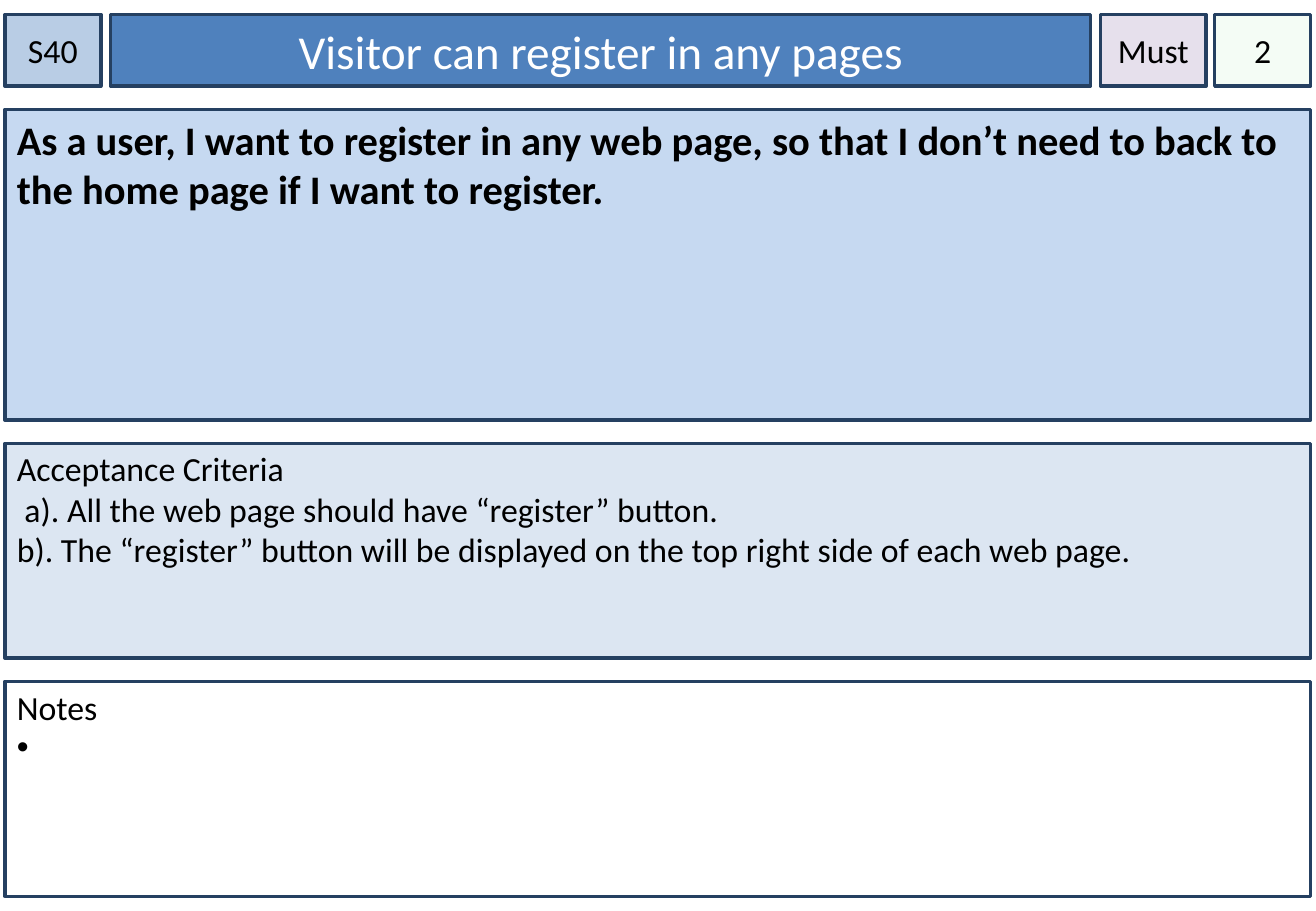
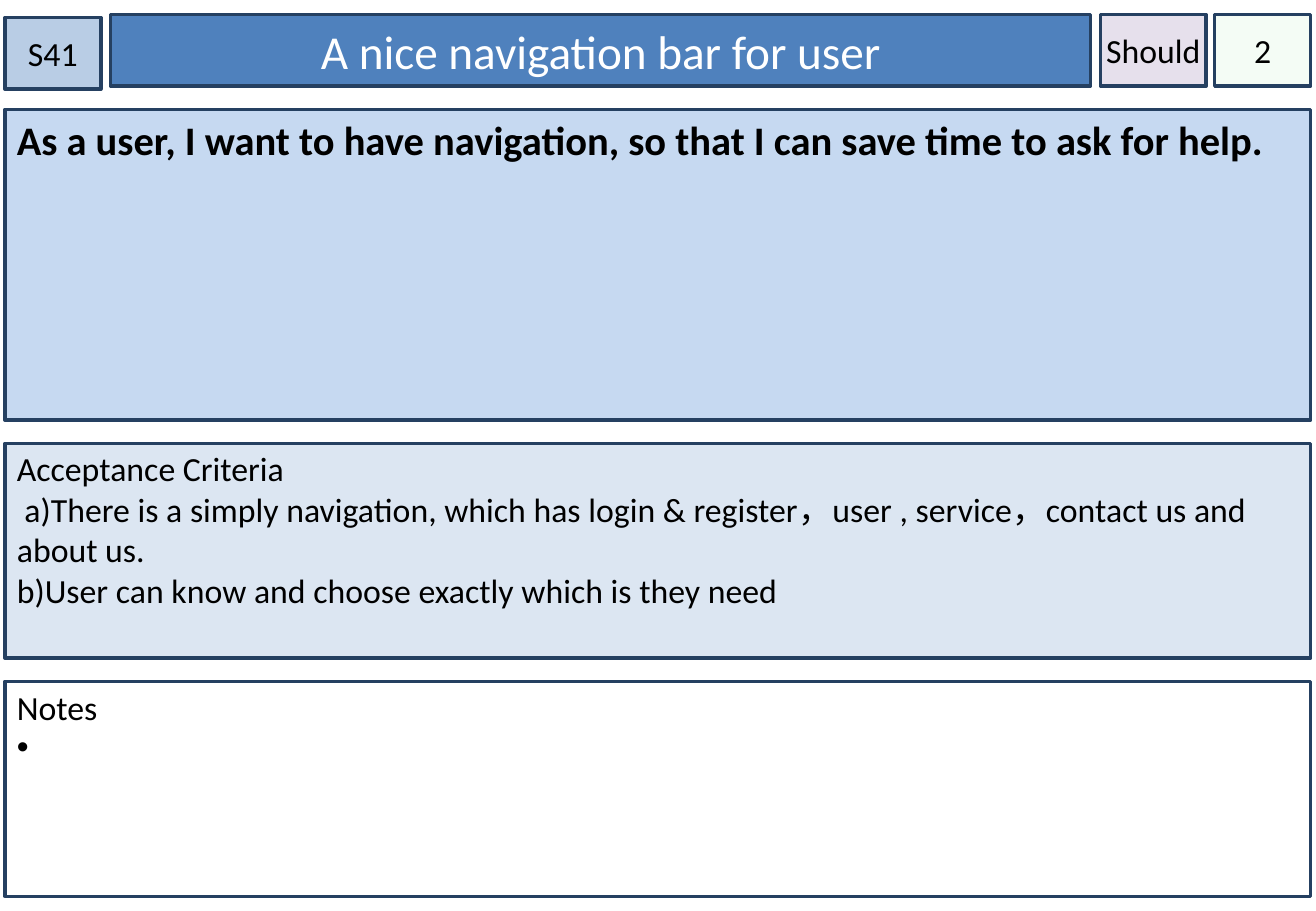
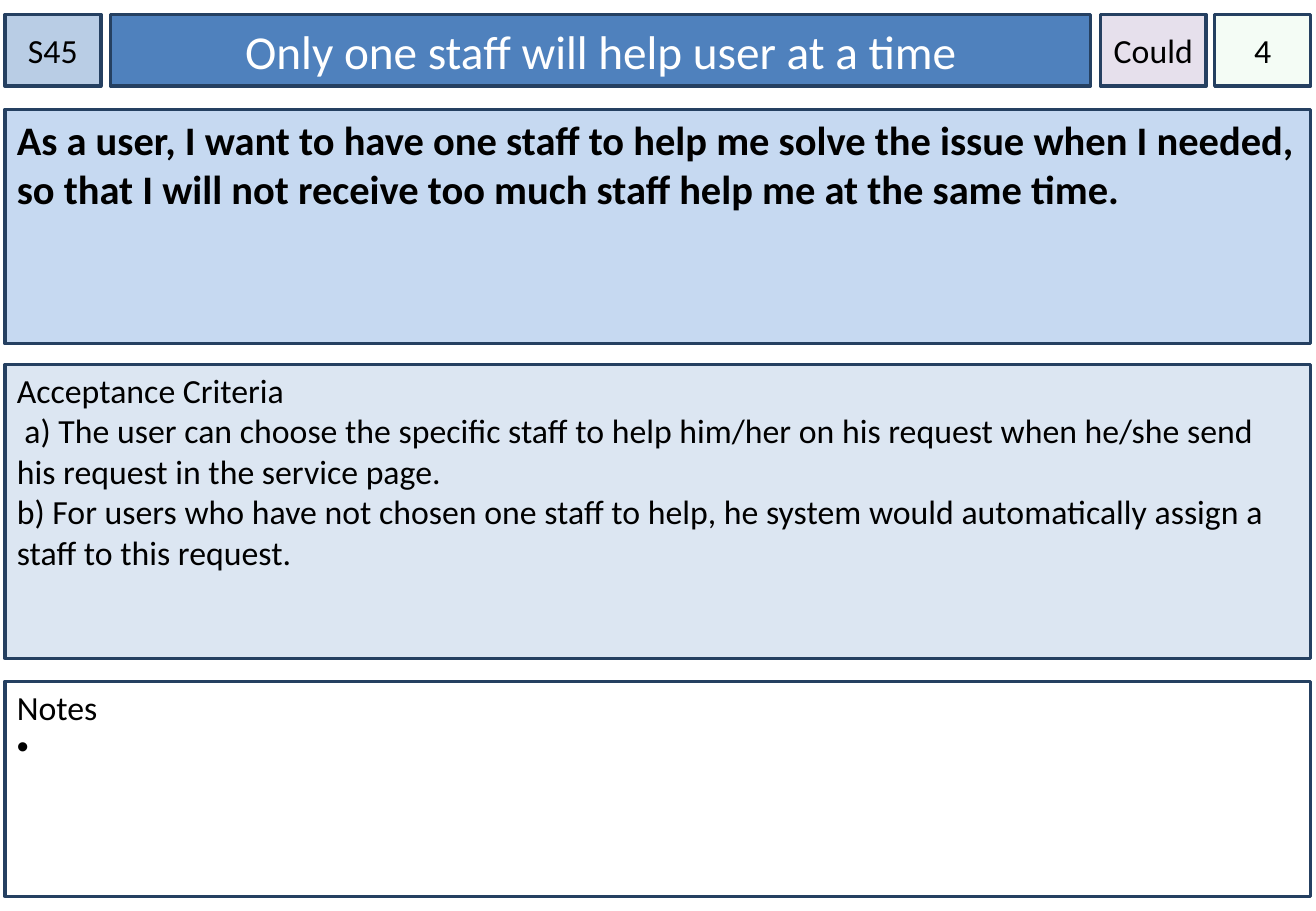
from lxml import etree
from pptx import Presentation
from pptx.dml.color import RGBColor
from pptx.enum.shapes import MSO_SHAPE
from pptx.enum.text import MSO_ANCHOR, PP_ALIGN
from pptx.oxml.ns import qn
from pptx.util import Pt

RECT = MSO_SHAPE.RECTANGLE
TOP, MIDDLE = MSO_ANCHOR.TOP, MSO_ANCHOR.MIDDLE
LEFT, CENTER = PP_ALIGN.LEFT, PP_ALIGN.CENTER


def rgb(value):
    return RGBColor.from_string(value)


def add_text(tf, text, first=False, size=20, color="000000", bold=False, align=LEFT):
    p = tf.paragraphs[0] if first else tf.add_paragraph()
    p.alignment = align
    r = p.add_run()
    r.text = text
    r.font.name = "Calibri"
    r.font.size = Pt(size)
    r.font.bold = bold
    r.font.color.rgb = rgb(color)
    return p


class StoryCard:
    edge = "254061"
    left, width = 2.9, 774
    header_top, header_height = 8.6, 42.5
    story_top, criteria_bottom = 64.8, 390.2
    remarks_top, remarks_height = 403.9, 127.4
    tag_insets = (0, 3.6, 0, 3.6)
    text_insets = (7.2, 3.6, 7.2, 3.6)
    list_insets = (7.2, 2.9, 7.2, 3.6)

    def __init__(self, prs):
        self.slide = prs.slides.add_slide(prs.slide_layouts[6])

    def box(self, x, y, w, h, fill, insets, anchor=TOP, wrap=True):
        sp = self.slide.shapes.add_shape(RECT, Pt(x), Pt(y), Pt(w), Pt(h))
        sp.shadow.inherit = False
        sp.fill.solid()
        sp.fill.fore_color.rgb = rgb(fill)
        sp.line.color.rgb = rgb(self.edge)
        sp.line.width = Pt(2)
        tf = sp.text_frame
        tf.word_wrap = wrap
        tf.vertical_anchor = anchor
        tf.margin_left, tf.margin_top, tf.margin_right, tf.margin_bottom = map(Pt, insets)
        return sp

    def tag(self, text, x, w, fill, y=header_top, wrap=True):
        sp = self.box(x, y, w, self.header_height, fill, self.tag_insets, MIDDLE, wrap)
        add_text(sp.text_frame, text, first=True, align=CENTER)
        return sp

    def title(self, text):
        sp = self.box(65.5, self.header_top, 581, self.header_height, "4F81BD",
                      self.text_insets, MIDDLE)
        add_text(sp.text_frame, text, first=True, size=28, color="FFFFFF", align=CENTER)

    def story(self, text, height):
        sp = self.box(self.left, self.story_top, self.width, height, "C6D9F1",
                      self.text_insets)
        add_text(sp.text_frame, text, first=True, size=24, bold=True)

    def section(self, heading, lines, y, h, fill):
        tf = self.box(self.left, y, self.width, h, fill, self.list_insets).text_frame
        add_text(tf, heading, first=True)
        return [add_text(tf, line) for line in lines]

    def criteria(self, lines, top):
        self.section("Acceptance Criteria", lines, top, self.criteria_bottom - top, "DCE6F2")

    def points(self, text):
        sp = self.tag(text, 720, 56.9, "CCF0CD")
        color = sp.element.spPr.find(".//" + qn("a:srgbClr"))
        etree.SubElement(color, qn("a:alpha"), val="20000")

    def remarks(self):
        p, = self.section("Notes", [" "], self.remarks_top, self.remarks_height, "FFFFFF")
        pPr = p._p.get_or_add_pPr()
        pPr.set("marL", str(Pt(14.4)))
        pPr.set("indent", str(-Pt(14.4)))
        etree.SubElement(pPr, qn("a:buFont"), typeface="Arial")
        etree.SubElement(pPr, qn("a:buChar"), char="•")


CARDS = [
    dict(code="S40", title="Visitor can register in any pages", priority="Must", points="2",
         story="As a user, I want to register in any web page, so that I don’t need to "
               "back to the home page if I want to register.",
         criteria=[" a). All the web page should have “register” button.",
                   "b). The “register” button will be displayed on the top right side of "
                   "each web page."]),
    dict(code="S41", title="A nice navigation bar for user", priority="Should", points="2",
         code_top=10.4,
         story="As a user, I want to have navigation, so that I can save time to ask for help.",
         criteria=[" a)There is a simply navigation, which has login & register，user , "
                   "service，contact us and about us.",
                   "b)User can know and choose exactly which is they need"]),
    dict(code="S45", title="Only one staff will help user at a time", priority="Could",
         points="4", story_height=139, criteria_top=216,
         story="As a user, I want to have one staff to help me solve the issue when I "
               "needed, so that I will not receive too much staff help me at the same time.",
         criteria=[" a) The user can choose the specific staff to help him/her on his "
                   "request when he/she send his request in the service page.",
                   "b) For users who have not chosen one staff to help, he system would "
                   "automatically assign a staff to this request."]),
]

prs = Presentation()
prs.slide_width, prs.slide_height = Pt(780), Pt(540)
for data in CARDS:
    card = StoryCard(prs)
    card.tag(data["code"], card.left, 56.9, "B9CDE5", y=data.get("code_top", card.header_top))
    card.title(data["title"])
    card.story(data["story"], data.get("story_height", 184.3))
    card.criteria(data["criteria"], data.get("criteria_top", 262.8))
    card.points(data["points"])
    card.tag(data["priority"], 652.3, 62.6, "E6E0EC", wrap=False)
    card.remarks()
prs.save("out.pptx")
